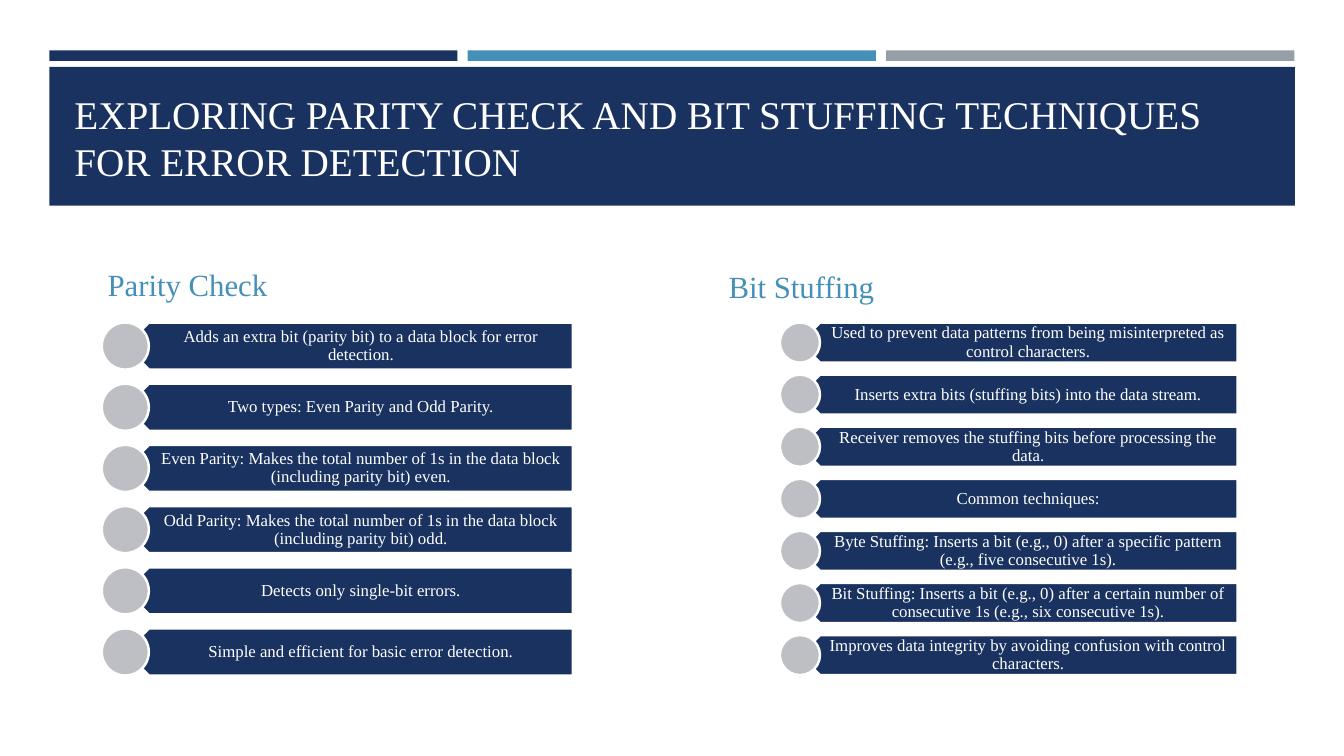
from dataclasses import dataclass

from pptx import Presentation
from pptx.dml.color import RGBColor
from pptx.enum.shapes import MSO_SHAPE
from pptx.enum.text import MSO_ANCHOR, PP_ALIGN
from pptx.shapes.autoshape import Shape
from pptx.slide import Slide
from pptx.util import Pt


@dataclass(frozen=True)
class Theme:
    font: str = "Times New Roman"
    navy: RGBColor = RGBColor(0x1A, 0x32, 0x60)
    blue: RGBColor = RGBColor(0x45, 0x90, 0xB8)
    gray: RGBColor = RGBColor(0x96, 0x9F, 0xA7)
    silver: RGBColor = RGBColor(0xBD, 0xBF, 0xC5)
    white: RGBColor = RGBColor(0xFF, 0xFF, 0xFF)
    title_size: float = 28
    heading_size: float = 22
    item_size: float = 12
    outline: float = 1.75


@dataclass(frozen=True)
class Box:
    left: float
    top: float
    width: float
    height: float

    def lengths(self) -> tuple[Pt, Pt, Pt, Pt]:
        return Pt(self.left), Pt(self.top), Pt(self.width), Pt(self.height)


@dataclass(frozen=True)
class Technique:
    heading: str
    heading_box: Box
    left: float
    right: float
    disc: float
    pitch: float
    items: tuple[str, ...]


THEME = Theme()
LIST_TOP = 230.4

TECHNIQUES = (
    Technique(
        "Parity Check", Box(69.8, 177.1, 400.3, 42.5),
        left=72.7, right=409.2, disc=33.6, pitch=43.7,
        items=(
            "Adds an extra bit (parity bit) to a data block for error detection.",
            "Two types: Even Parity and Odd Parity.",
            "Even Parity: Makes the total number of 1s in the data block (including parity bit) even.",
            "Odd Parity: Makes the total number of 1s in the data block (including parity bit) odd.",
            "Detects only single-bit errors.",
            "Simple and efficient for basic error detection.",
        ),
    ),
    Technique(
        "Bit Stuffing", Box(513.4, 177.1, 400.3, 43.9),
        left=557.1, right=884, disc=28.6, pitch=37.2,
        items=(
            "Used to prevent data patterns from being misinterpreted as control characters.",
            "Inserts extra bits (stuffing bits) into the data stream.",
            "Receiver removes the stuffing bits before processing the data.",
            "Common techniques:",
            "Byte Stuffing: Inserts a bit (e.g., 0) after a specific pattern (e.g., five consecutive 1s).",
            "Bit Stuffing: Inserts a bit (e.g., 0) after a certain number of consecutive 1s "
            "(e.g., six consecutive 1s).",
            "Improves data integrity by avoiding confusion with control characters.",
        ),
    ),
)


def add_filled(slide: Slide, kind: MSO_SHAPE, box: Box, fill: RGBColor, outlined: bool = False) -> Shape:
    shape = slide.shapes.add_shape(kind, *box.lengths())
    shape.shadow.inherit = False
    shape.fill.solid()
    shape.fill.fore_color.rgb = fill
    if outlined:
        shape.line.color.rgb = THEME.white
        shape.line.width = Pt(THEME.outline)
    else:
        shape.line.fill.background()
    return shape


def add_text(slide: Slide, text: str, box: Box, size: float, color: RGBColor,
             anchor: MSO_ANCHOR = MSO_ANCHOR.BOTTOM) -> Shape:
    label = slide.shapes.add_textbox(*box.lengths())
    frame = label.text_frame
    frame.word_wrap = True
    frame.vertical_anchor = anchor
    paragraph = frame.paragraphs[0]
    paragraph.text = text
    paragraph.font.name = THEME.font
    paragraph.font.size = Pt(size)
    paragraph.font.color.rgb = color
    return label


def add_item(slide: Slide, technique: Technique, text: str, top: float) -> None:
    """Draw a left-pointing bar, its centred text and the disc over its tip."""
    disc = technique.disc
    bar_left = technique.left + disc / 2
    bar = Box(bar_left, top, technique.right - bar_left, disc)
    add_filled(slide, MSO_SHAPE.PENTAGON, bar, THEME.navy, outlined=True).rotation = 180

    text_left = bar_left + disc / 4
    text_box = Box(text_left, top, technique.right - text_left, disc)
    label = add_text(slide, text, text_box, THEME.item_size, THEME.white, MSO_ANCHOR.MIDDLE)
    frame = label.text_frame
    frame.margin_left = Pt(disc * 0.45)
    frame.margin_right = Pt(6.5)
    frame.paragraphs[0].alignment = PP_ALIGN.CENTER
    frame.paragraphs[0].line_spacing = 0.9

    add_filled(slide, MSO_SHAPE.OVAL, Box(technique.left, top, disc, disc), THEME.silver, outlined=True)


def add_header(slide: Slide) -> None:
    for index, color in enumerate((THEME.navy, THEME.blue, THEME.gray)):
        stripe = Box(35.2 + index * 298.9, 36, 291.6, 7.5)
        add_filled(slide, MSO_SHAPE.RECTANGLE, stripe, color)
    add_filled(slide, MSO_SHAPE.RECTANGLE, Box(35.2, 47.7, 889.7, 99.2), THEME.navy)
    add_text(slide, "EXPLORING PARITY CHECK AND BIT STUFFING TECHNIQUES FOR ERROR DETECTION",
             Box(46.1, 57.6, 868.3, 77.8), THEME.title_size, THEME.white)


def add_technique(slide: Slide, technique: Technique) -> None:
    heading = add_text(slide, technique.heading, technique.heading_box, THEME.heading_size, THEME.blue)
    heading.text_frame.paragraphs[0].space_after = Pt(6)
    for row, text in enumerate(technique.items):
        add_item(slide, technique, text, LIST_TOP + row * technique.pitch)


def main() -> None:
    presentation = Presentation()
    presentation.slide_width = Pt(960)
    presentation.slide_height = Pt(540)
    slide = presentation.slides.add_slide(presentation.slide_layouts[6])
    add_header(slide)
    for technique in TECHNIQUES:
        add_technique(slide, technique)
    presentation.save("out.pptx")


if __name__ == "__main__":
    main()
